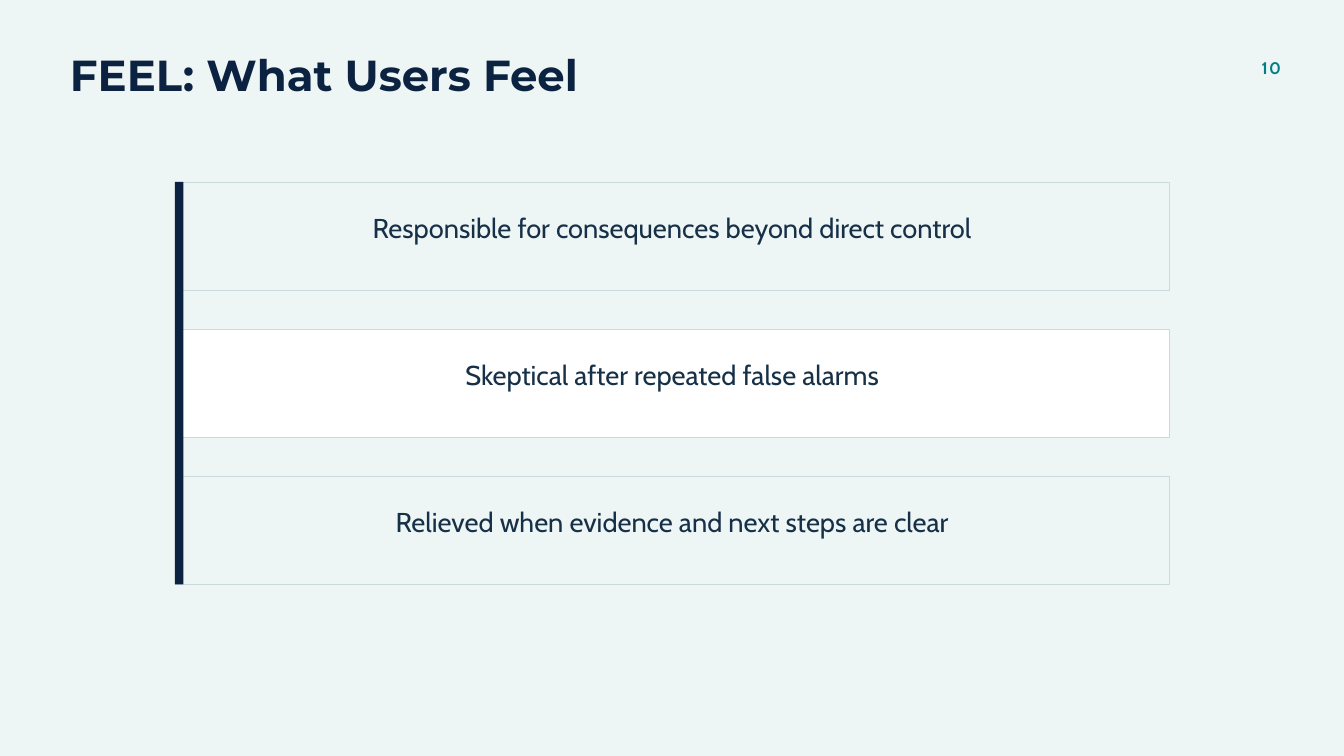
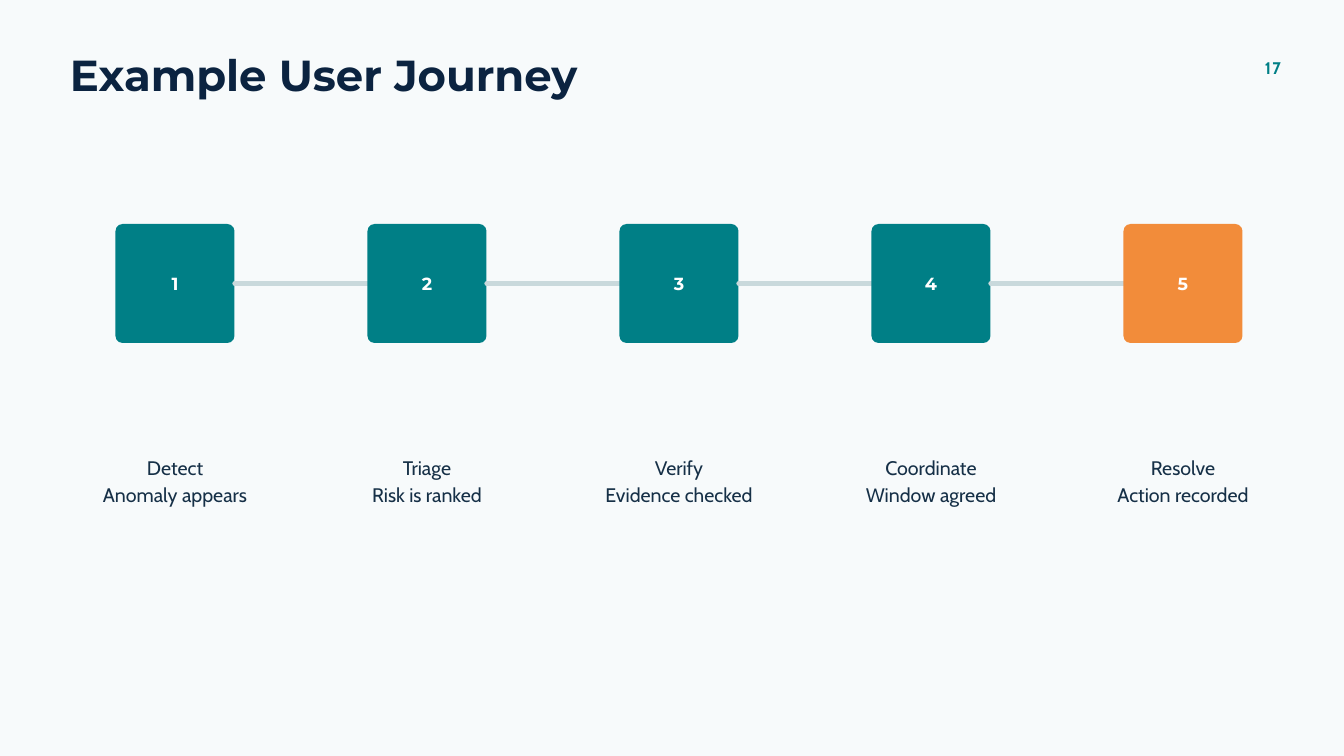
"""Build two slides: what users feel, and an example user journey."""
import dataclasses
import itertools
import typing

import pptx
import pptx.dml.color
import pptx.enum.shapes
import pptx.enum.text
import pptx.oxml.ns
import pptx.util
from lxml import etree

RGB = pptx.dml.color.RGBColor
NAVY = RGB(0x0B, 0x23, 0x40)
INK = RGB(0x16, 0x30, 0x47)
TEAL = RGB(0x00, 0x7F, 0x86)
AMBER = RGB(0xF2, 0x8C, 0x3A)
RULE = RGB(0xC9, 0xD9, 0xDC)
MINT = RGB(0xEE, 0xF5, 0xF5)
PALE = RGB(0xF7, 0xFA, 0xFB)
WHITE = RGB(0xFF, 0xFF, 0xFF)

WIDE = pptx.util.Inches(20)
HIGH = pptx.util.Inches(11.25)
COLS, ROWS = 96, 54
ALIGN = pptx.enum.text.PP_ALIGN
ANCHOR = pptx.enum.text.MSO_ANCHOR
KIND = pptx.enum.shapes.MSO_SHAPE


@dataclasses.dataclass(frozen=True)
class Area:
    """A place on the grid, in columns and rows."""
    col: float
    row: float
    cols: float
    rows: float

    def box(self) -> tuple[int, int, int, int]:
        """Give left, top, width and height."""
        return (across(self.col), down(self.row),
                across(self.cols), down(self.rows))


@dataclasses.dataclass(frozen=True)
class Style:
    """How a line of text looks."""
    face: str
    size: float
    lead: float
    color: RGB
    align: ALIGN = ALIGN.CENTER
    bold: bool = False
    track: float = 0


@dataclasses.dataclass(frozen=True)
class Step:
    """One stage of the journey."""
    name: str
    note: str
    color: RGB = TEAL


TITLE = Style("Montserrat", 46.5, 48.8, NAVY, ALIGN.LEFT, True)
FOLIO = Style("Cabin", 18, 25.2, TEAL, ALIGN.RIGHT, True, 1.4)
FEEL = Style("Cabin", 29.2, 39.5, INK)
DIGIT = Style("Montserrat", 18.8, 20.6, WHITE, bold=True)
LABEL = Style("Cabin", 21, 28.4, INK)

FEELS = (
    ("Responsible for consequences beyond direct control", MINT),
    ("Skeptical after repeated false alarms", WHITE),
    ("Relieved when evidence and next steps are clear", MINT),
)
STEPS = (
    Step("Detect", "Anomaly appears"),
    Step("Triage", "Risk is ranked"),
    Step("Verify", "Evidence checked"),
    Step("Coordinate", "Window agreed"),
    Step("Resolve", "Action recorded", AMBER),
)


def across(cols: float) -> int:
    """Turn columns into a length."""
    return round(WIDE * cols / COLS)


def down(rows: float) -> int:
    """Turn rows into a length."""
    return round(HIGH * rows / ROWS)


def write(shape: typing.Any, lines: typing.Sequence[str], style: Style,
          anchor: ANCHOR = ANCHOR.TOP, top: float = 0) -> None:
    """Fill a shape with lines of text, starting some rows down."""
    frame = shape.text_frame
    frame.word_wrap = True
    frame.vertical_anchor = anchor
    frame.margin_left = frame.margin_right = frame.margin_bottom = 0
    frame.margin_top = down(top)
    for num, line in enumerate(lines):
        para = frame.add_paragraph() if num else frame.paragraphs[0]
        para.alignment = style.align
        para.line_spacing = pptx.util.Pt(style.lead)
        run = para.add_run()
        run.text = line
        run.font.name = style.face
        run.font.size = pptx.util.Pt(style.size)
        run.font.bold = style.bold
        run.font.color.rgb = style.color
        if style.track:
            run.font._element.set("spc", str(round(style.track * 100)))


def label(slide: typing.Any, area: Area, lines: typing.Sequence[str],
          style: Style) -> None:
    """Add a text box."""
    write(slide.shapes.add_textbox(*area.box()), lines, style)


def block(slide: typing.Any, area: Area, fill: RGB,
          edge: RGB | None = None, kind: KIND = KIND.RECTANGLE) -> typing.Any:
    """Add a filled shape, with an edge if one is given."""
    shape = slide.shapes.add_shape(kind, *area.box())
    shape.shadow.inherit = False
    shape.fill.solid()
    shape.fill.fore_color.rgb = fill
    if edge is None:
        shape.line.fill.background()
    else:
        shape.line.color.rgb = edge
        shape.line.width = pptx.util.Pt(0.75)
    return shape


def link(slide: typing.Any, start: typing.Any, end: typing.Any) -> None:
    """Join two tiles with a round-ended line that runs under the second."""
    line = slide.shapes.add_connector(
        pptx.enum.shapes.MSO_CONNECTOR.STRAIGHT, 0, 0, 0, 0)
    line.begin_connect(start, 3)
    line.end_connect(end, 1)
    line.line.color.rgb = RULE
    line.line.width = pptx.util.Pt(4.5)
    line.line._get_or_add_ln().set("cap", "rnd")
    etree.SubElement(line._element.spPr, pptx.oxml.ns.qn("a:effectLst"))
    end._element.addprevious(line._element)


def start(deck: typing.Any, title: str, page: int, back: RGB) -> typing.Any:
    """Add a slide with its ground, title and number."""
    slide = deck.slides.add_slide(deck.slide_layouts[6])
    slide.background.fill.solid()
    slide.background.fill.fore_color.rgb = back
    label(slide, Area(5, 3.9, 75, 3.3), [title], TITLE)
    label(slide, Area(88, 3.9, 3.5, 1.65), [str(page)], FOLIO)
    return slide


def feelings(deck: typing.Any) -> None:
    """Draw the stack of feelings with its side bar."""
    slide = start(deck, "FEEL: What Users Feel", 10, MINT)
    left, top, tall, pitch = 12.5, 13, 7.75, 10.5
    for num, (text, fill) in enumerate(FEELS):
        card = block(slide, Area(left, top + num * pitch, 71, tall),
                     fill, RULE)
        write(card, [text], FEEL, top=1.8)
    span = (len(FEELS) - 1) * pitch + tall
    block(slide, Area(left, top, 0.6, span), NAVY)


def journey(deck: typing.Any) -> None:
    """Draw the row of linked steps."""
    slide = start(deck, "Example User Journey", 17, PALE)
    wide, side, pitch = 15, 8.5, 18
    tiles = []
    for num, step in enumerate(STEPS):
        left = 5 + num * pitch
        tile = block(slide, Area(left + (wide - side) / 2, 16, side, side),
                     step.color, kind=KIND.ROUNDED_RECTANGLE)
        tile.adjustments[0] = 0.06
        write(tile, [str(num + 1)], DIGIT, ANCHOR.MIDDLE, 0.1)
        label(slide, Area(left, 32.35, wide, 3.65),
              [step.name, step.note], LABEL)
        tiles.append(tile)
    for first, second in itertools.pairwise(tiles):
        link(slide, first, second)


def main() -> None:
    """Build and save the deck."""
    deck = pptx.Presentation()
    deck.slide_width, deck.slide_height = WIDE, HIGH
    feelings(deck)
    journey(deck)
    deck.save("out.pptx")


if __name__ == "__main__":
    main()
